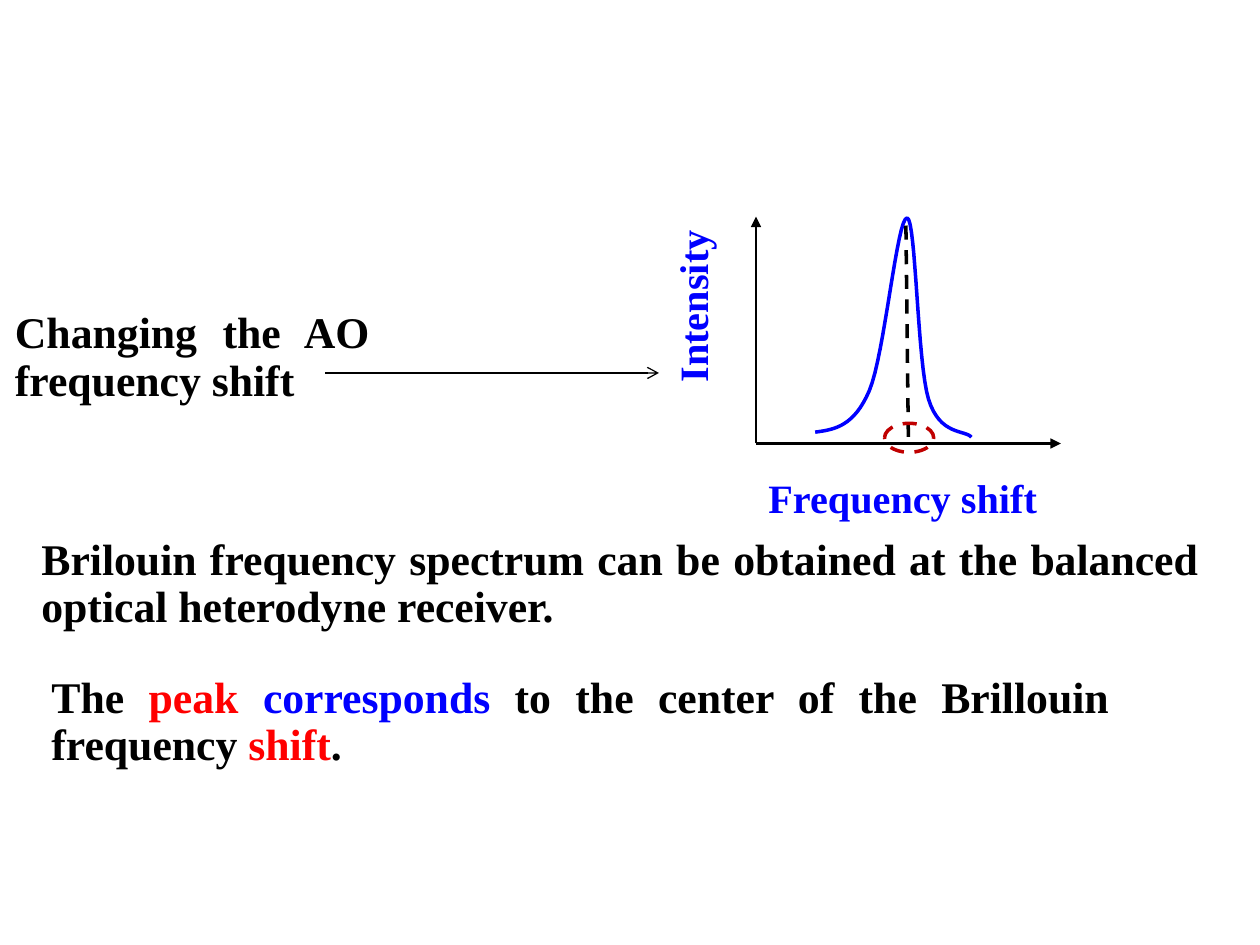
from lxml.etree import SubElement
from pptx import Presentation
from pptx.dml.color import RGBColor
from pptx.enum.dml import MSO_LINE_DASH_STYLE as Dash
from pptx.enum.shapes import MSO_CONNECTOR as Connector, MSO_SHAPE as Shape
from pptx.enum.text import MSO_AUTO_SIZE as AutoSize, PP_ALIGN as Align
from pptx.oxml.ns import qn
from pptx.util import Emu, Pt

EMU_PER_PX = 9144  # 100 px to the inch
COLORS = {"black": "000000", "blue": "0000FF", "red": "FF0000", "dark_red": "C00000"}


def px(length):
    return Emu(round(length * EMU_PER_PX))


def color(name):
    return RGBColor.from_string(COLORS[name])


def bezier(start, control_1, control_2, end, steps=16):
    """Points along a cubic curve, without its start."""
    for step in range(1, steps + 1):
        t = step / steps
        u = 1 - t
        yield tuple(
            px(u**3 * a + 3 * u * u * t * b + 3 * u * t * t * c + t**3 * d)
            for a, b, c, d in zip(start, control_1, control_2, end)
        )


class SlideBuilder:
    font_name = "Times New Roman"
    line_spacing = 0.9

    def __init__(self, slide):
        self.shapes = slide.shapes

    def style_line(self, line, color_name, width, dash=None):
        line.color.rgb = color(color_name)
        line.width = Pt(width)
        if dash:
            line.dash_style = dash

    def text(self, left, top, width, height, runs, size, rotation=0):
        box = self.shapes.add_textbox(px(left), px(top), px(width), px(height))
        box.rotation = rotation
        frame = box.text_frame
        frame.word_wrap = True
        frame.auto_size = AutoSize.SHAPE_TO_FIT_TEXT
        paragraph = frame.paragraphs[0]
        paragraph.alignment = Align.JUSTIFY
        paragraph.line_spacing = self.line_spacing
        paragraph.font.name = self.font_name
        paragraph.font.size = Pt(size)
        paragraph.font.bold = True
        for words, color_name in runs:
            run = paragraph.add_run()
            run.text = words
            run.font.color.rgb = color(color_name)

    def line(self, start, end, width, dash=None, head=None):
        connector = self.shapes.add_connector(
            Connector.STRAIGHT, *map(px, start + end))
        self.style_line(connector.line, "black", width, dash)
        if head:
            SubElement(connector.line._get_or_add_ln(), qn("a:tailEnd"), type=head)
        SubElement(connector._element.spPr, qn("a:effectLst"))

    def curve(self, start, segments, color_name, width):
        builder = self.shapes.build_freeform(*map(px, start))
        for segment in segments:
            builder.add_line_segments(bezier(start, *segment), close=False)
            start = segment[-1]
        outline = builder.convert_to_shape()
        outline.shadow.inherit = False
        outline.fill.background()
        self.style_line(outline.line, color_name, width)

    def ellipse(self, left, top, width, height, color_name, line_width, dash):
        ring = self.shapes.add_shape(
            Shape.OVAL, px(left), px(top), px(width), px(height))
        ring.shadow.inherit = False
        ring.fill.background()
        self.style_line(ring.line, color_name, line_width, dash)


def main():
    presentation = Presentation()
    presentation.slide_width, presentation.slide_height = px(1000), px(750)
    slide = SlideBuilder(
        presentation.slides.add_slide(presentation.slide_layouts[6]))
    body_size, axis_size = 25, 23

    # Axes of the spectrum
    origin = (600, 352)
    slide.line(origin, (842, 352), 1.5, head="triangle")
    slide.line(origin, (600, 172), 1.5, head="triangle")

    # Spectrum curve
    spectrum = [
        ((663, 341), (678, 338), (690, 310)),
        ((702, 282), (712, 172), (720, 173)),
        ((727, 174), (728, 288), (737, 317)),
        ((746, 346), (766, 341), (771, 347)),
    ]
    slide.curve((647, 343), spectrum, "blue", 2)

    # Axis titles
    slide.text(474, 213, 156, 45, [("Intensity", "blue")], axis_size, rotation=270)
    slide.text(600, 375, 261, 45, [("Frequency shift", "blue")], axis_size)

    # Peak marker
    slide.line((719, 179), (721, 353), 2, dash=Dash.DASH)
    slide.ellipse(702, 336, 39, 23, "dark_red", 2, Dash.DASH)

    # Cause of the scan, pointing at the spectrum
    slide.line((258, 296), (523, 296), 0.75, head="arrow")
    slide.text(2, 242, 301, 85,
               [("Changing the AO frequency shift", "black")], body_size)

    # Conclusions
    slide.text(23, 422, 938, 85, [
        ("Brilouin frequency spectrum can be obtained at the balanced "
         "optical heterodyne receiver.", "black")], body_size)
    slide.text(31, 531, 859, 85, [
        ("The ", "black"),
        ("peak ", "red"),
        ("corresponds", "blue"),
        (" to the center of the Brillouin frequency ", "black"),
        ("shift", "red"),
        (".", "black"),
    ], body_size)

    presentation.save("out.pptx")


if __name__ == "__main__":
    main()
